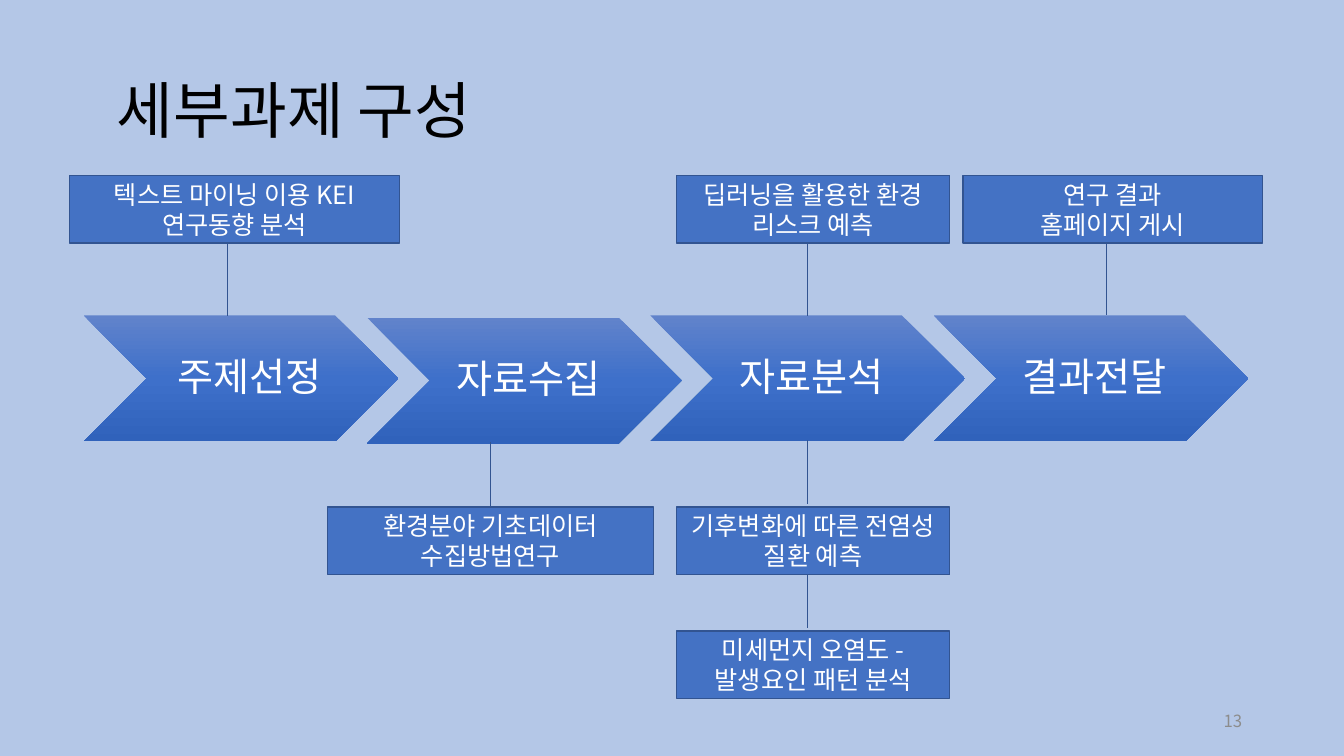
from copy import deepcopy

from lxml.etree import SubElement
from pptx import Presentation
from pptx.dml.color import RGBColor
from pptx.enum.shapes import MSO_SHAPE
from pptx.enum.text import MSO_ANCHOR, PP_ALIGN
from pptx.oxml.ns import qn
from pptx.util import Inches, Pt

STEPS = [("주제선정", 3.13), ("자료수집", 3.15), ("자료분석", 3.13), ("결과전달", 3.13)]
STEP_LEFT, STEP_PITCH = 0.83, 2.81
TOP_ROW, LOWER_ROW, BOTTOM_ROW = 1.74, 5.03, 6.26
CALLOUTS = [
    ("텍스트 마이닝 이용 KEI 연구동향 분석", 0.69, TOP_ROW, 3.27, (0.99, 0.48, 2.08, 0.48)),
    ("환경분야 기초데이터 수집방법연구", 3.25, LOWER_ROW, 3.23, (-0.02, 0.5, -0.96, 0.5)),
    ("딥러닝을 활용한 환경 리스크 예측", 6.71, TOP_ROW, 2.71, (0.99, 0.48, 2.08, 0.48)),
    ("기후변화에 따른 전염성 질환 예측", 6.71, LOWER_ROW, 2.71, (-0.05, 0.48, -0.99, 0.48)),
    ("연구 결과\n홈페이지 게시", 9.55, TOP_ROW, 2.97, (0.99, 0.48, 2.06, 0.48)),
    ("미세먼지 오염도 - 발생요인 패턴 분석", 6.71, BOTTOM_ROW, 2.71, (-0.05, 0.48, -0.85, 0.48)),
]


def colour(value):
    """Turn a hex string into a colour."""
    return RGBColor.from_string(value)


class Page:
    """Hold the style and the current slide."""

    font = "Noto Sans CJK KR"
    gradient = [(0, "6183CB"), (0.5, "3E70CA"), (1, "3062BB")]

    def __init__(self, deck, background):
        """Add a title-only slide with a plain background."""
        self.slide = deck.slides.add_slide(deck.slide_layouts[5])
        fill = self.slide.background.fill
        fill.solid()
        fill.fore_color.rgb = colour(background)

    def label(self, box, text, size, shade="FFFFFF", align=PP_ALIGN.CENTER,
              spacing=1.0, margins=(0.1, 0.05, 0.1, 0.05)):
        """Put formatted text into a box."""
        frame = box.text_frame
        left, top, right, bottom = map(Inches, margins)
        layout = {"word_wrap": True, "vertical_anchor": MSO_ANCHOR.MIDDLE,
                  "margin_left": left, "margin_top": top,
                  "margin_right": right, "margin_bottom": bottom}
        for name, value in layout.items():
            setattr(frame, name, value)
        para = frame.paragraphs[0]
        para.text = text
        para.alignment = align
        para.line_spacing = spacing
        for span in para.runs:
            for name, value in {"name": self.font, "size": Pt(size)}.items():
                setattr(span.font, name, value)
            span.font.color.rgb = colour(shade)
            SubElement(span.font._element, qn("a:ea"), typeface=self.font)

    def title(self, text, *place):
        """Move and fill the title placeholder."""
        box = self.slide.shapes.title
        box.left, box.top, box.width, box.height = map(Inches, place)
        self.label(box, text, 44, "000000", PP_ALIGN.LEFT, 0.9, (0.24, 0.05, 0.1, 0.05))

    def step(self, text, *place, indent=0.12):
        """Add a chevron with a vertical gradient."""
        box = self.slide.shapes.add_shape(MSO_SHAPE.CHEVRON, *map(Inches, place))
        box.shadow.inherit = False
        box.line.fill.background()
        box.fill.gradient()
        box.fill.gradient_angle = 270
        stop_list = next(box._element.iter(qn("a:gsLst")))
        stop_list.insert(1, deepcopy(stop_list[0]))
        for stop, (position, shade) in zip(box.fill.gradient_stops, self.gradient):
            stop.position = position
            stop.color.rgb = colour(shade)
        self.label(box, text, 28, spacing=0.9, margins=(indent, 0.04, 0.04, 0.04))

    def callout(self, text, left, top, width, leader):
        """Add a bordered callout with its leader line."""
        place = map(Inches, (left, top, width, 0.67))
        box = self.slide.shapes.add_shape(MSO_SHAPE.LINE_CALLOUT_1, *place)
        box.shadow.inherit = False
        for index, value in enumerate(leader):
            box.adjustments[index] = value
        box.fill.solid()
        box.fill.fore_color.rgb = colour("4472C4")
        box.line.color.rgb = colour("325491")
        box.line.width = Pt(1)
        self.label(box, text, 18)

    def number(self, text, *place):
        """Add the page number."""
        box = self.slide.shapes.add_textbox(*map(Inches, place))
        self.label(box, text, 12, "8C8C8C", PP_ALIGN.RIGHT)


def main():
    """Build and save the slide."""
    deck = Presentation()
    deck.slide_width, deck.slide_height = Inches(13.33), Inches(7.5)
    page = Page(deck, "B4C7E7")
    page.title("세부과제 구성", 0.92, 0.4, 11.5, 1.45)
    for index, (text, top) in enumerate(STEPS):
        indent = 0.12 if index else 0.21
        page.step(text, STEP_LEFT + index * STEP_PITCH, top, 3.12, 1.25, indent=indent)
    for callout in CALLOUTS:
        page.callout(*callout)
    page.number("13", 9.42, 6.95, 3, 0.4)
    deck.save("out.pptx")


if __name__ == "__main__":
    main()
